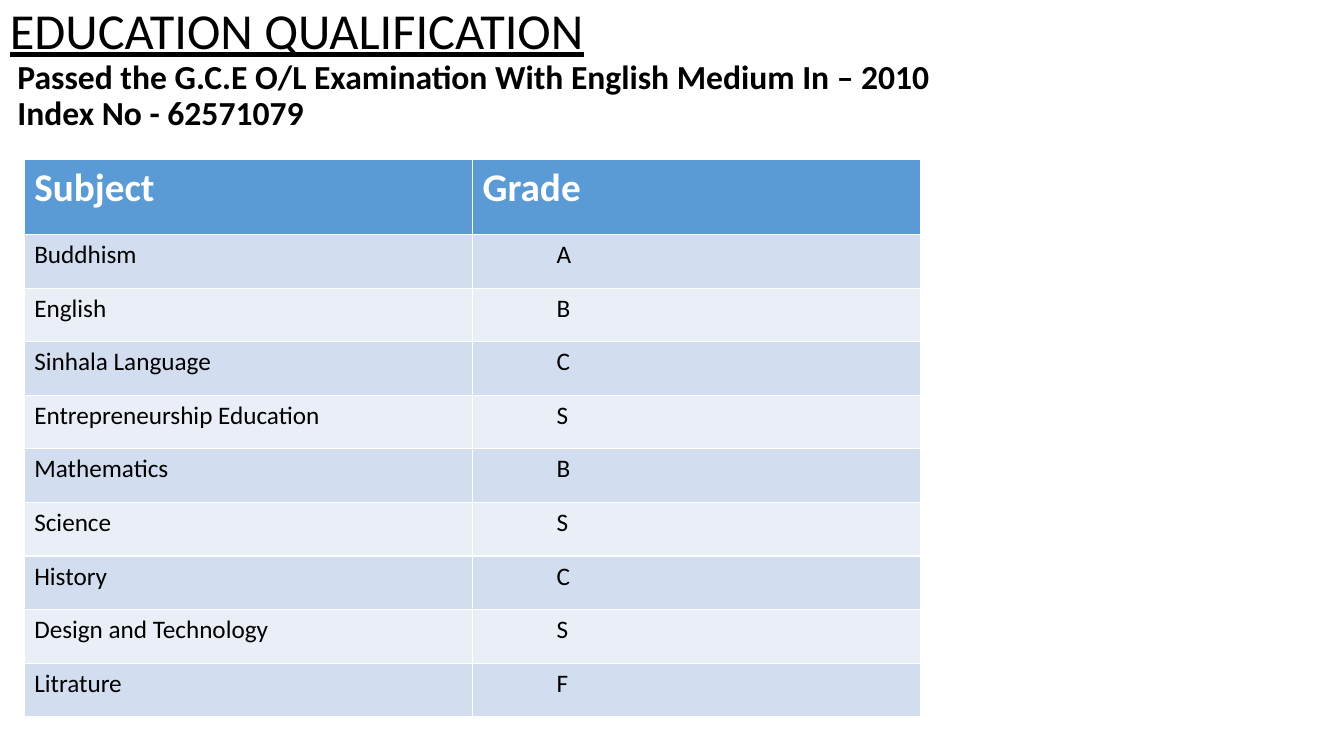
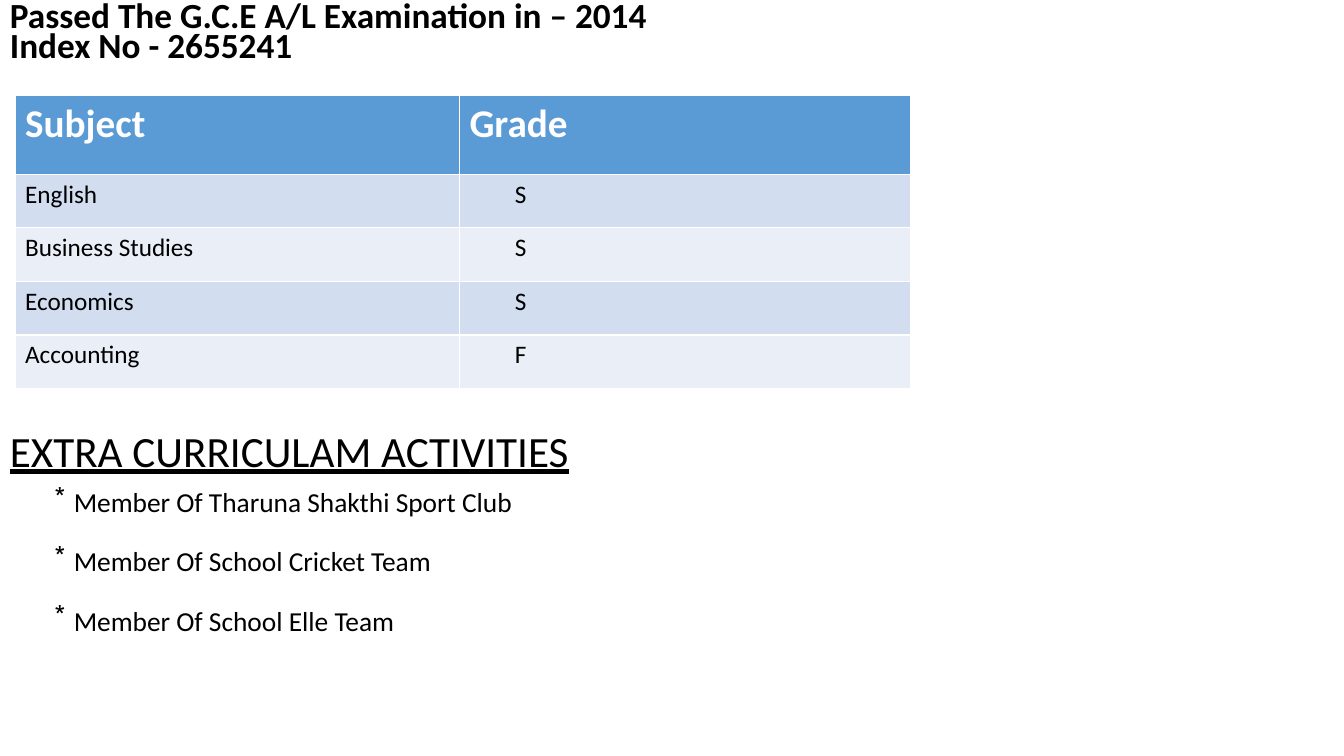
from lxml import etree
from pptx import Presentation
from pptx.dml.color import RGBColor
from pptx.oxml import ns
from pptx.util import Cm, Pt

FONT = "Calibri"
HUES = {"ink": "000000", "white": "FFFFFF", "head": "5B9BD5",
        "dark": "D2DEEF", "light": "EAEFF7"}
WIDE, HIGH = 33.87, 19.05
ROW = 1.35


def color(name):
    return RGBColor.from_string(HUES[name])


def add_run(para, words, size, hue="ink", bold=False, line=False):
    run = para.add_run()
    run.text = words
    font = run.font
    font.name, font.size = FONT, Pt(size)
    font.bold, font.underline = bold, line
    font.color.rgb = color(hue)


def add_box(slide, top, high):
    box = slide.shapes.add_textbox(Cm(0), Cm(top), Cm(WIDE), Cm(high))
    box.text_frame.word_wrap = True
    return box.text_frame


def add_para(frame, words, size, space, gap=0, left=0, mark=None, **look):
    first = frame.paragraphs[0]
    para = frame.add_paragraph() if first.runs else first
    para.line_spacing = space
    para.space_before = Pt(gap)
    add_run(para, words, size, **look)
    props = para._p.get_or_add_pPr()
    props.set("marL", str(Cm(left)))
    if mark:
        props.set("indent", str(-Cm(0.48)))
        etree.SubElement(props, ns.qn("a:buChar")).set("char", mark)


def fill_cell(cell, words, fill, size, hue, bold=False):
    cell.fill.solid()
    cell.fill.fore_color.rgb = color(fill)
    add_run(cell.text_frame.paragraphs[0], words, size, hue, bold)


def add_grades(slide, left, top, cols, head, inset, marks):
    high = head + ROW * len(marks)
    frame = slide.shapes.add_table(len(marks) + 1, 2, Cm(left), Cm(top),
                                   Cm(sum(cols)), Cm(high))
    table = frame.table
    for col, wide in zip(table.columns, cols):
        col.width = Cm(wide)
    for row in table.rows:
        row.height = Cm(ROW)
    table.rows[0].height = Cm(head)
    for c, words in enumerate(("Subject", "Grade")):
        fill_cell(table.cell(0, c), words, "head", 28, "white", True)
    for r, pair in enumerate(marks, 1):
        fill = "dark" if r % 2 else "light"
        for c, words in enumerate(pair):
            fill_cell(table.cell(r, c), words, fill, 18, "ink")
        table.cell(r, 1).margin_left = Cm(inset)


def ordinary(slide):
    frame = add_box(slide, 0.03, 3.7)
    add_para(frame, "EDUCATION QUALIFICATION", 36, 0.9, line=True)
    for words in ("Passed the G.C.E O/L Examination With English Medium In – 2010",
                  "Index No - 62571079"):
        add_para(frame, words, 24, 0.9, left=0.19, bold=True)
    add_grades(slide, 0.61, 4.01, (11.3, 11.28), 1.9, 2.12, [
        ("Buddhism", "A"),
        ("English", "B"),
        ("Sinhala Language", "C"),
        ("Entrepreneurship Education", "S"),
        ("Mathematics", "B"),
        ("Science", "S"),
        ("History", "C"),
        ("Design and Technology", "S"),
        ("Litrature", "F")])


def advanced(slide):
    frame = add_box(slide, 0, 2)
    for words in ("Passed The G.C.E A/L Examination in – 2014",
                  "Index No - 2655241"):
        add_para(frame, words, 25.2, 0.7, bold=True)
    add_grades(slide, 0.38, 2.41, (11.2, 11.38), 1.98, 1.4, [
        ("English", "S"),
        ("Business Studies", "S"),
        ("Economics", "S"),
        ("Accounting", "F")])
    frame = add_box(slide, 10.92, 6)
    add_para(frame, "EXTRA CURRICULAM ACTIVITIES", 30.8, 0.7, line=True)
    clubs = ("Tharuna Shakthi Sport Club", "School Cricket Team",
             "School Elle Team")
    for n, club in enumerate(clubs):
        add_para(frame, f"Member Of {club}", 19.6, 0.7, gap=26 if n else 14,
                 left=1.61, mark="*")


def main():
    deck = Presentation()
    deck.slide_width, deck.slide_height = Cm(WIDE), Cm(HIGH)
    for build in (ordinary, advanced):
        build(deck.slides.add_slide(deck.slide_layouts[6]))
    deck.save("out.pptx")


main()
